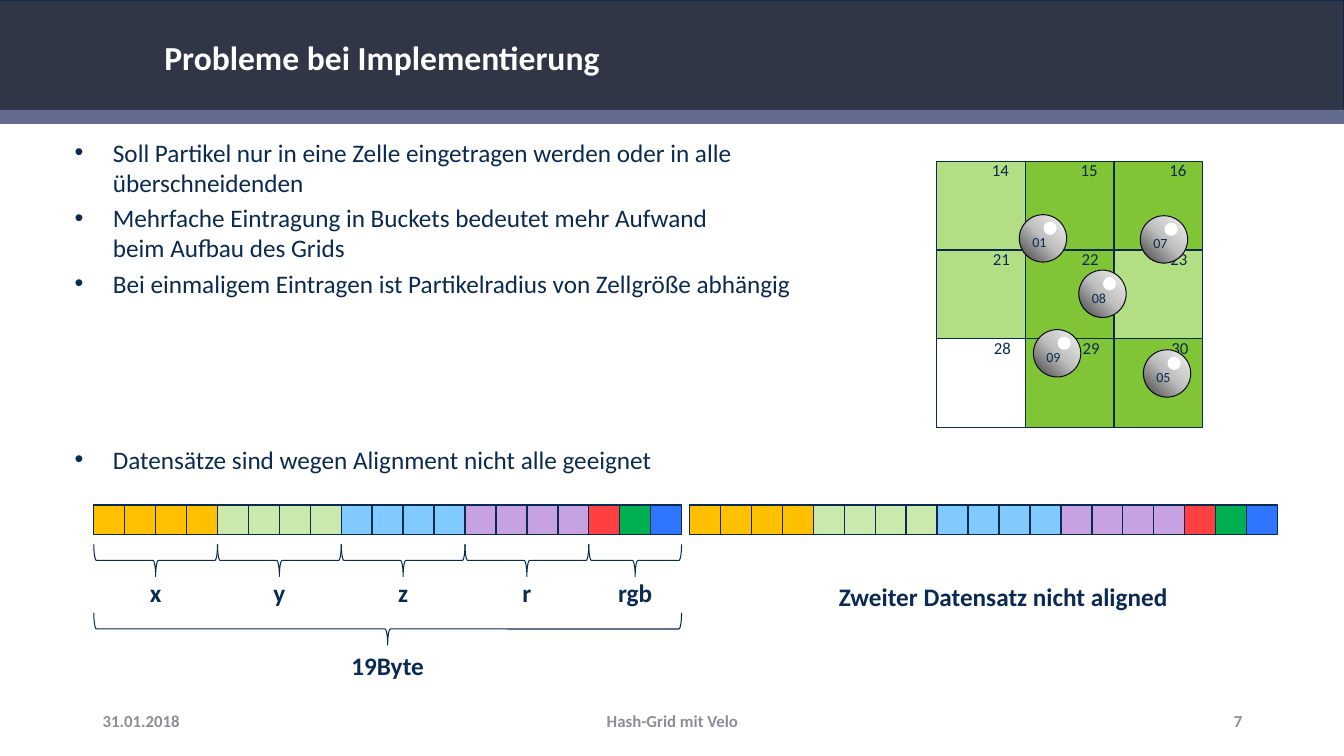
from dataclasses import dataclass

from lxml.etree import SubElement
from pptx import Presentation
from pptx.dml.color import RGBColor
from pptx.enum.shapes import MSO_SHAPE
from pptx.enum.text import MSO_ANCHOR, PP_ALIGN
from pptx.oxml import parse_xml
from pptx.oxml.ns import nsdecls, qn
from pptx.util import Inches, Pt


@dataclass(frozen=True)
class Theme:
    font: str = "Calibri"
    ink: str = "0B2A51"
    header: str = "313647"
    stripe: str = "636C8E"
    white: str = "FFFFFF"
    footer: str = "8C8E98"
    full: str = "80C535"
    touched: str = "B3DE84"
    ball_edge: str = "0D0D0D"
    ball_stops: tuple = ((0, "404040"), (50, "BFBFBF"), (100, "F2F2F2"))
    x: str = "FFC000"
    y: str = "CCE9AD"
    z: str = "80CAFF"
    radius: str = "C7A2E3"
    red: str = "FF4040"
    green: str = "00B050"
    blue: str = "3075FF"
    title_size: int = 24
    body_size: int = 18
    small_size: int = 12
    ball_size: int = 10


class GridSlide:
    def __init__(self, slide, theme):
        self.slide = slide
        self.theme = theme

    def shape(self, kind, left, top, width, height, fill=None, line=None, weight=1, home=None):
        shape = (home or self.slide).shapes.add_shape(
            kind, Inches(left), Inches(top), Inches(width), Inches(height))
        shape.shadow.inherit = False
        if fill:
            shape.fill.solid()
            shape.fill.fore_color.rgb = RGBColor.from_string(fill)
        else:
            shape.fill.background()
        if line:
            shape.line.color.rgb = RGBColor.from_string(line)
            shape.line.width = Pt(weight)
        else:
            shape.line.fill.background()
        return shape

    def run(self, paragraph, text, size, color=None, bold=False):
        run = paragraph.add_run()
        run.text = text
        run.font.name = self.theme.font
        run.font.size = Pt(size)
        run.font.bold = bold
        run.font.color.rgb = RGBColor.from_string(color or self.theme.ink)

    def text(self, words, left, top, width, height, size, color=None, bold=False,
             align=PP_ALIGN.LEFT, anchor=MSO_ANCHOR.TOP, wrap=True, home=None):
        box = (home or self.slide).shapes.add_textbox(
            Inches(left), Inches(top), Inches(width), Inches(height))
        frame = box.text_frame
        frame.word_wrap = wrap
        frame.vertical_anchor = anchor
        paragraph = frame.paragraphs[0]
        paragraph.alignment = align
        self.run(paragraph, words, size, color, bold)

    def label(self, words, center, top, width):
        self.text(words, center - width / 2, top, width, 0.4, self.theme.body_size,
                  bold=True, align=PP_ALIGN.CENTER, wrap=False)

    def title(self, words):
        title = self.slide.shapes.title
        title.left, title.top = Inches(1.63), Inches(0.36)
        title.width, title.height = Inches(11.02), Inches(0.42)
        self.slide.shapes._spTree.append(title._element)
        frame = title.text_frame
        frame.margin_left = 0
        frame.vertical_anchor = MSO_ANCHOR.MIDDLE
        paragraph = frame.paragraphs[0]
        paragraph.alignment = PP_ALIGN.LEFT
        self.run(paragraph, words, self.theme.title_size, self.theme.white, True)

    def bullets(self, items, left, top, width, height):
        frame = self.slide.shapes.add_textbox(
            Inches(left), Inches(top), Inches(width), Inches(height)).text_frame
        frame.word_wrap = True
        frame.margin_left = 0
        for index, (lines, space) in enumerate(items):
            paragraph = frame.add_paragraph() if index else frame.paragraphs[0]
            paragraph.space_before = Pt(space)
            properties = paragraph._p.get_or_add_pPr()
            properties.set("marL", str(Inches(0.38)))
            properties.set("indent", str(-Inches(0.38)))
            SubElement(properties, qn("a:buFont")).set("typeface", "Arial")
            SubElement(properties, qn("a:buChar")).set("char", "•")
            for number, line in enumerate(lines):
                if number:
                    paragraph.add_line_break()
                self.run(paragraph, line, self.theme.body_size)

    def brace(self, left, top, width, depth=0.32):
        brace = self.shape(MSO_SHAPE.RIGHT_BRACE, left + (width - depth) / 2,
                           top + (depth - width) / 2, depth, width,
                           line=self.theme.ink, weight=0.75)
        brace.rotation = 90

    def particle(self, name, left, top):
        group = self.slide.shapes.add_group_shape()
        ball = self.shape(MSO_SHAPE.OVAL, left, top, 0.47, 0.47,
                          line=self.theme.ball_edge, weight=0.75, home=group)
        stops = "".join(f'<a:gs pos="{at * 1000}"><a:srgbClr val="{color}"/></a:gs>'
                        for at, color in self.theme.ball_stops)
        gradient = parse_xml(
            f'<a:gradFill {nsdecls("a")} rotWithShape="1"><a:gsLst>{stops}</a:gsLst>'
            '<a:path path="circle"><a:fillToRect t="100000" r="100000"/></a:path></a:gradFill>')
        properties = ball._element.spPr
        properties.replace(properties.find(qn("a:noFill")), gradient)
        self.shape(MSO_SHAPE.OVAL, left + 0.24, top + 0.07, 0.13, 0.13,
                   self.theme.white, home=group)
        self.text(name, left + 0.03, top + 0.14, 0.41, 0.32, self.theme.ball_size, home=group)


def main():
    presentation = Presentation()
    presentation.slide_width, presentation.slide_height = Inches(13.33), Inches(7.5)
    theme = Theme()
    page = GridSlide(presentation.slides.add_slide(presentation.slide_layouts[5]), theme)

    page.shape(MSO_SHAPE.RECTANGLE, 0, 0, 13.33, 1.15, theme.header, theme.ink, 0.75)
    page.shape(MSO_SHAPE.RECTANGLE, 0, 1.09, 13.33, 0.14, theme.stripe)
    page.title("Probleme bei Implementierung")
    page.bullets([
        (["Soll Partikel nur in eine Zelle eingetragen werden oder in alle ",
          "überschneidenden"], 3.6),
        (["Mehrfache Eintragung in Buckets bedeutet mehr Aufwand",
          "beim Aufbau des Grids"], 3.6),
        (["Bei einmaligem Eintragen ist Partikelradius von Zellgröße abhängig"], 3.6),
        (["Datensätze sind wegen Alignment nicht alle geeignet"], 104),
    ], 0.74, 1.31, 11.91, 5.51)

    fields = [
        ("x", [theme.x] * 4, 0.32),
        ("y", [theme.y] * 4, 0.32),
        ("z", [theme.z] * 4, 0.3),
        ("r", [theme.radius] * 4, 0.3),
        ("rgb", [theme.red, theme.green, theme.blue], 0.54),
    ]
    record_bytes = [color for _, colors, _ in fields for color in colors]
    record_left, record_width = 0.93, 5.83
    byte_width = record_width / len(record_bytes)
    for start in (record_left, 6.84):
        for index, color in enumerate(record_bytes):
            page.shape(MSO_SHAPE.RECTANGLE, start + index * byte_width, 5.01,
                       byte_width, 0.29, color, theme.ink)

    field_left = record_left
    for name, colors, label_width in fields:
        field_width = len(colors) * byte_width
        page.brace(field_left, 5.4, field_width)
        page.label(name, field_left + field_width / 2, 5.68, label_width)
        field_left += field_width
    page.brace(record_left, 6.08, record_width)
    page.label("19Byte", record_left + record_width / 2, 6.4, 0.93)
    page.label("Zweiter Datensatz nicht aligned", 9.95, 5.72, 3.49)

    cell = 0.88
    cell_rows = [
        (14, [theme.touched, theme.full, theme.full]),
        (21, [theme.touched, theme.full, theme.touched]),
        (28, [None, theme.full, theme.full]),
    ]
    cells = [(first + column, 9.29 + column * cell, 1.6 + row * cell, row, fill)
             for row, (first, fills) in enumerate(cell_rows)
             for column, fill in enumerate(fills)]
    for _, left, top, _, fill in cells:
        page.shape(MSO_SHAPE.RECTANGLE, left, top, cell, cell, fill, theme.ink)
    for number, left, top, row, _ in cells:
        page.text(str(number), left + 0.45 + row * 0.01, top - 0.06, 0.45, 0.36,
                  theme.small_size)

    for name, left, top in [("08", 10.7, 2.68), ("07", 11.31, 2.14), ("01", 10.11, 2.13),
                            ("09", 10.25, 3.27), ("05", 11.34, 3.47)]:
        page.particle(name, left, top)

    for words, left, width, align in [
        ("31.01.2018", 0.92, 3, PP_ALIGN.LEFT),
        ("Hash-Grid mit Velo", 4.42, 4.5, PP_ALIGN.CENTER),
        ("7", 9.42, 3, PP_ALIGN.RIGHT),
    ]:
        page.text(words, left, 6.95, width, 0.4, theme.small_size, theme.footer, True,
                  align, MSO_ANCHOR.MIDDLE)

    presentation.save("out.pptx")


if __name__ == "__main__":
    main()
